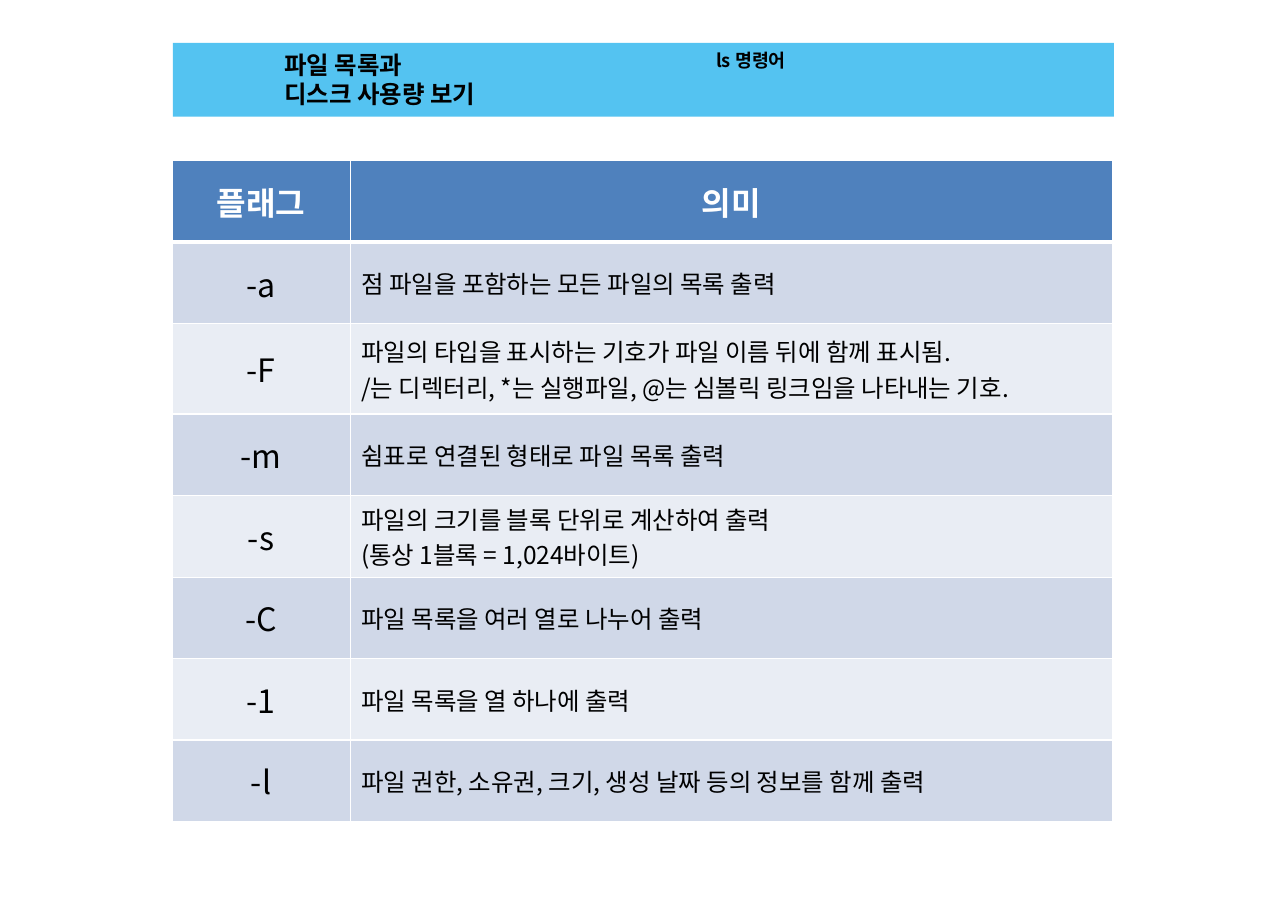
from dataclasses import dataclass
from typing import NamedTuple

from lxml import etree
from pptx import Presentation
from pptx.dml.color import RGBColor
from pptx.enum.shapes import MSO_SHAPE
from pptx.enum.text import MSO_ANCHOR, MSO_AUTO_SIZE, PP_ALIGN
from pptx.oxml.ns import qn
from pptx.util import Inches, Pt

RECTANGLE = MSO_SHAPE.RECTANGLE
TOP, MIDDLE = MSO_ANCHOR.TOP, MSO_ANCHOR.MIDDLE
LEFT, CENTER = PP_ALIGN.LEFT, PP_ALIGN.CENTER
NO_AUTOFIT = MSO_AUTO_SIZE.NONE


@dataclass(frozen=True)
class Theme:
    font: str = "Noto Sans CJK KR"
    ink: str = "000000"
    white: str = "FFFFFF"
    bar: str = "54C3F1"
    header: str = "4F81BD"
    bands: tuple[str, str] = ("D0D8E8", "E9EDF4")
    command_size: int = 12
    body_size: int = 16
    flag_size: int = 21
    thin: int = 1
    thick: int = 3


class Flag(NamedTuple):
    name: str
    meaning: str
    height: float = 0.74


THEME = Theme()
COLUMN_WIDTHS = (1.62, 6.92)
ROWS = (
    Flag("플래그", "의미"),
    Flag("-a", "점 파일을 포함하는 모든 파일의 목록 출력"),
    Flag("-F", "파일의 타입을 표시하는 기호가 파일 이름 뒤에 함께 표시됨.\n"
               "/는 디렉터리, *는 실행파일, @는 심볼릭 링크임을 나타내는 기호.", 0.82),
    Flag("-m", "쉼표로 연결된 형태로 파일 목록 출력"),
    Flag("-s", "파일의 크기를 블록 단위로 계산하여 출력\n(통상 1블록 = 1,024바이트)"),
    Flag("-C", "파일 목록을 여러 열로 나누어 출력"),
    Flag("-1", "파일 목록을 열 하나에 출력"),
    Flag("-l", "파일 권한, 소유권, 크기, 생성 날짜 등의 정보를 함께 출력"),
)


def write(frame, text: str, size: int, color: str, bold: bool, align=LEFT) -> None:
    """Fill a text frame, one paragraph per line, in the theme font."""
    frame.text = text
    for paragraph in frame.paragraphs:
        paragraph.alignment = align
        paragraph.space_before = Pt(0)
        font = paragraph.font
        font.name, font.size, font.bold = THEME.font, Pt(size), bold
        font.color.rgb = RGBColor.from_string(color)
        # Korean glyphs take the East Asian typeface
        latin = paragraph._p.pPr.find(qn("a:defRPr")).find(qn("a:latin"))
        east_asian = etree.Element(qn("a:ea"), typeface=THEME.font)
        latin.addnext(east_asian)


def write_heading(shape, left: float, width: float, text: str, size: int) -> None:
    """Place a bold heading without margins on the bar."""
    shape.left, shape.top = Inches(left), Inches(0.45)
    shape.width, shape.height = Inches(width), Inches(0.28)
    frame = shape.text_frame
    frame.word_wrap, frame.auto_size, frame.vertical_anchor = True, NO_AUTOFIT, TOP
    frame.margin_left = frame.margin_right = frame.margin_top = frame.margin_bottom = 0
    write(frame, text, size, THEME.ink, True)


def set_borders(cell, top: int, bottom: int) -> None:
    """Draw white cell borders, thin at the sides."""
    properties = cell._tc.get_or_add_tcPr()
    sides = {"L": THEME.thin, "R": THEME.thin, "T": top, "B": bottom}
    for position, (side, width) in enumerate(sides.items()):
        line = etree.Element(qn(f"a:ln{side}"), w=str(Pt(width)))
        fill = etree.SubElement(line, qn("a:solidFill"))
        etree.SubElement(fill, qn("a:srgbClr"), val=THEME.white)
        properties.insert(position, line)


def add_bar(slide) -> None:
    bar = slide.shapes.add_shape(
        RECTANGLE, Inches(1.57), Inches(0.39), Inches(8.54), Inches(0.67))
    bar.shadow.inherit = False
    bar.fill.solid()
    bar.fill.fore_color.rgb = RGBColor.from_string(THEME.bar)
    bar.line.fill.background()
    # The bar lies behind the title
    slide.shapes.title.element.addprevious(bar.element)


def add_flag_table(slide) -> None:
    table = slide.shapes.add_table(
        len(ROWS), len(COLUMN_WIDTHS), Inches(1.56), Inches(1.46),
        Inches(sum(COLUMN_WIDTHS)), Inches(sum(row.height for row in ROWS))).table
    table.horz_banding = False
    for column, width in zip(table.columns, COLUMN_WIDTHS):
        column.width = Inches(width)
    for index, flag in enumerate(ROWS):
        is_header = index == 0
        table.rows[index].height = Inches(flag.height)
        background = THEME.header if is_header else THEME.bands[(index - 1) % 2]
        for column, text in enumerate((flag.name, flag.meaning)):
            cell = table.cell(index, column)
            centred = is_header or column == 0
            cell.vertical_anchor = MIDDLE
            cell.fill.solid()
            cell.fill.fore_color.rgb = RGBColor.from_string(background)
            set_borders(cell, THEME.thick if index == 1 else THEME.thin,
                        THEME.thick if is_header else THEME.thin)
            write(cell.text_frame, text,
                  THEME.flag_size if centred else THEME.body_size,
                  THEME.white if is_header else THEME.ink,
                  is_header, CENTER if centred else LEFT)


def main() -> None:
    deck = Presentation()
    deck.slide_width, deck.slide_height = Inches(11.69), Inches(8.27)
    slide = deck.slides.add_slide(deck.slide_layouts[5])

    # Heading bar with topic and command
    add_bar(slide)
    write_heading(slide.shapes.title, 2.58, 2.76,
                  "파일 목록과\n디스크 사용량 보기", THEME.body_size)
    command = slide.shapes.add_textbox(0, 0, 0, 0)
    write_heading(command, 6.5, 3.61, "ls 명령어", THEME.command_size)

    # Flags and their meanings
    add_flag_table(slide)
    deck.save("out.pptx")


if __name__ == "__main__":
    main()
